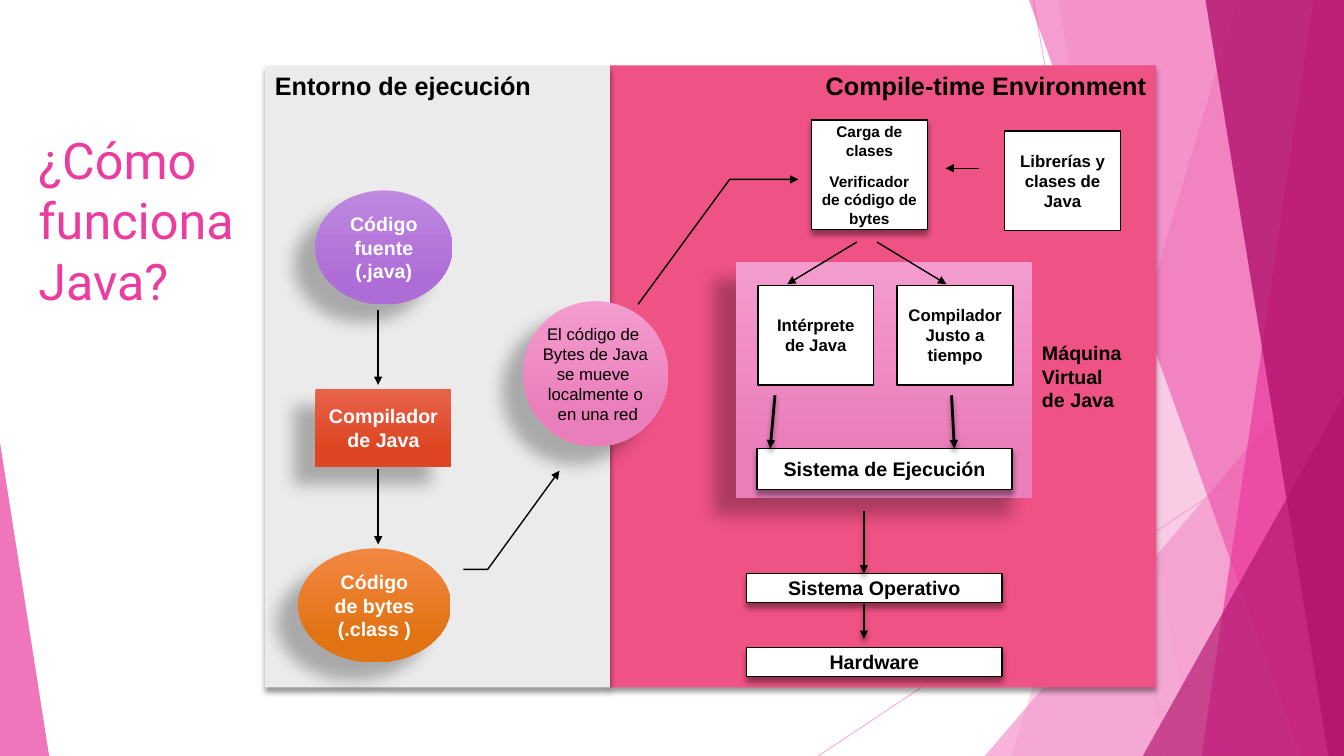
"""Build the slide that explains how Java code is compiled and run."""
from dataclasses import dataclass
from typing import Optional

from lxml import etree
from pptx import Presentation
from pptx import dml, util as u
from pptx.dml import color
from pptx.enum import shapes, text
from pptx.oxml import ns

Point = tuple[float, float]
WIDTH, HEIGHT = 33.87, 19.05
RECT, OVAL = shapes.MSO_SHAPE.RECTANGLE, shapes.MSO_SHAPE.OVAL
LEFT, CENTER, RIGHT = text.PP_ALIGN.LEFT, text.PP_ALIGN.CENTER, text.PP_ALIGN.RIGHT
TOP, MIDDLE = text.MSO_ANCHOR.TOP, text.MSO_ANCHOR.MIDDLE
BLACK, WHITE, PALE, PINK, DEEP = "000000", "FFFFFF", "F496CB", "EB3D9F", "B2136D"
PINK_GRADIENT = ("F49CCD", "EA7EBB")


@dataclass(frozen=True)
class Shadow:
    alpha: int
    blur: float
    distance: float
    angle: int


SOFT = Shadow(40, 4, 3, 90)
LONG = Shadow(28, 11.8, 19.7, 141)


@dataclass(frozen=True)
class Ribbon:
    top_x: float
    bottom_x: float
    fill: str
    alpha: int


@dataclass(frozen=True)
class Corner:
    left: float
    top: float
    width: float
    height: float
    apex: int
    fill: str
    alpha: int


@dataclass(frozen=True)
class Box:
    words: str
    left: float
    top: float
    width: float
    height: float
    fills: tuple[str, ...] = (WHITE,)
    ink: str = BLACK
    size: int = 14
    bold: bool = True
    kind: shapes.MSO_SHAPE = RECT
    outline: bool = False
    shadow: Optional[Shadow] = None
    align: text.PP_ALIGN = CENTER
    anchor: text.MSO_ANCHOR = MIDDLE
    wrap: bool = True
    space_after: int = 0


@dataclass(frozen=True)
class Arrow:
    points: tuple[Point, ...]
    weight: float = 1
    shadow: Optional[Shadow] = None


DECORATION = [
    Ribbon(31.19, 25.5, PALE, 36),
    Ribbon(26.67, 30.05, PALE, 20),
    Corner(24.82, 8.46, 9.05, 10.59, 1, PALE, 72),
    Ribbon(25.93, 32.79, PINK, 50),
    Ribbon(33.1, 30.28, PINK, 70),
    Ribbon(30.38, 33.48, DEEP, 80),
    Corner(28.8, 9.98, 5.07, 9.07, 1, DEEP, 66),
    Corner(0, 11.15, 1.24, 7.9, 0, PINK, 70),
]
HAIRLINES = [((26.04, 0), (29.41, HEIGHT)), ((WIDTH, 10.24), (20.62, HEIGHT))]

BOXES = [
    Box("Compile-time Environment", 15.37, 1.65, 13.77, 15.67, ("EF5285",), size=18,
        shadow=SOFT, align=RIGHT, anchor=TOP),
    Box("Entorno de ejecución", 6.68, 1.65, 8.69, 15.67, ("EBEBEB",), size=18,
        shadow=SOFT, align=LEFT, anchor=TOP),
    Box("El código de \nBytes de Java\nse mueve \nlocalmente o\n en una red",
        13.18, 7.59, 3.66, 3.66, PINK_GRADIENT, size=12, bold=False, kind=OVAL,
        shadow=LONG, wrap=False),
    Box("Código fuente\n(.java)", 7.95, 4.8, 3.45, 2.87, ("BF88E1", "AE6DD6"), WHITE,
        kind=OVAL, shadow=LONG),
    Box("Compilador de Java", 7.95, 9.8, 3.43, 1.96, ("E7634C", "DE4522"), WHITE, shadow=LONG),
    Box("Código de bytes\n(.class )", 7.52, 13.82, 3.84, 2.87, ("F38742", "E17313"), WHITE,
        kind=OVAL, shadow=LONG),
    Box("", 18.54, 6.6, 7.47, 5.94, PINK_GRADIENT, shadow=LONG),
    Box("Intérprete de Java", 19.1, 7.19, 2.92, 2.51, size=12, outline=True),
    Box("Compilador Justo a\ntiempo", 22.61, 7.19, 2.92, 2.51, size=12, outline=True),
    Box("Sistema de Ejecución", 19.08, 11.3, 6.43, 1.04, outline=True, shadow=SOFT, wrap=False),
    Box("Carga de clases\nVerificador de código de bytes", 20.45, 3.02, 2.92, 2.77, size=11,
        outline=True, shadow=SOFT, space_after=9),
    Box("Librerías y clases de Java", 25.32, 3.3, 2.92, 2.51, size=12, outline=True),
    Box("Sistema Operativo", 18.82, 14.45, 6.43, 0.74, outline=True, shadow=SOFT, wrap=False),
    Box("Hardware", 18.82, 16.31, 6.43, 0.74, outline=True, shadow=SOFT, wrap=False),
]
MACHINE_LABEL = Box("Máquina Virtual de Java", 26.01, 8.46, 2.59, 2.06, align=LEFT)

ARROWS = [
    Arrow(((9.53, 7.8), (9.53, 9.7))),
    Arrow(((9.53, 11.81), (9.53, 13.72))),
    Arrow(((19.53, 9.96), (19.41, 11.3)), 2, SOFT),
    Arrow(((23.98, 9.96), (24.05, 11.3)), 2, SOFT),
    Arrow(((24.66, 4.24), (23.83, 4.24))),
    Arrow(((21.59, 6.1), (19.84, 7.16))),
    Arrow(((22.1, 6.1), (23.85, 7.16))),
    Arrow(((21.77, 12.88), (21.77, 14.45)), shadow=SOFT),
    Arrow(((21.77, 15.21), (21.77, 16.1)), shadow=SOFT),
    Arrow(((11.68, 14.35), (12.29, 14.35), (14.1, 11.86))),
    Arrow(((16.08, 7.67), (18.39, 4.52), (20.12, 4.52))),
]


def rgb(value: str) -> color.RGBColor:
    return color.RGBColor.from_string(value)


def lengths(*values: float) -> list[u.Cm]:
    return [u.Cm(value) for value in values]


def add_child(parent, tag: str, **attributes: str):
    return etree.SubElement(parent, ns.qn(tag), attributes)


def set_alpha(element, percent: int) -> None:
    for tint in element.iter(ns.qn("a:srgbClr")):
        add_child(tint, "a:alpha", val=str(percent * 1000))


def set_shadow(shape, shadow: Optional[Shadow] = None) -> None:
    effects = add_child(shape._element.spPr, "a:effectLst")
    if shadow:
        outer = add_child(effects, "a:outerShdw", blurRad=str(u.Pt(shadow.blur)),
                          dist=str(u.Pt(shadow.distance)), dir=str(shadow.angle * 60000),
                          algn="ctr", rotWithShape="0")
        add_child(outer, "a:srgbClr", val=BLACK)
        set_alpha(outer, shadow.alpha)


def set_line(shape, ink: str, weight: float) -> None:
    shape.line.color.rgb = rgb(ink)
    shape.line.width = u.Pt(weight)


def format_text(frame, ink: str, size: int, font: str, bold: bool, align, anchor) -> None:
    frame.auto_size = text.MSO_AUTO_SIZE.NONE
    frame.vertical_anchor = anchor
    for paragraph in frame.paragraphs:
        paragraph.alignment = align
        for run in paragraph.runs:
            run.font.name, run.font.size, run.font.bold = font, u.Pt(size), bold
            run.font.color.rgb = rgb(ink)


def write(shape, box: Box) -> None:
    frame = shape.text_frame
    frame.text = box.words
    frame.word_wrap = box.wrap
    format_text(frame, box.ink, box.size, "Arial", box.bold, box.align, box.anchor)
    if box.space_after:
        frame.paragraphs[0].space_after = u.Pt(box.space_after)


def draw_path(slide, points: tuple[Point, ...], close: bool):
    start, *others = [lengths(*point) for point in points]
    builder = slide.shapes.build_freeform(*start)
    builder.add_line_segments(others, close=close)
    return builder.convert_to_shape()


def draw_decoration(slide, item: Ribbon | Corner) -> None:
    if isinstance(item, Ribbon):
        shape = draw_path(slide, ((item.top_x, 0), (WIDTH, 0), (WIDTH, HEIGHT),
                                  (item.bottom_x, HEIGHT)), True)
    else:
        shape = slide.shapes.add_shape(shapes.MSO_SHAPE.ISOSCELES_TRIANGLE, *lengths(
            item.left, item.top, item.width, item.height))
        shape.adjustments[0] = item.apex
    shape.fill.solid()
    shape.fill.fore_color.rgb = rgb(item.fill)
    set_alpha(shape._element.spPr, item.alpha)
    shape.line.fill.background()
    set_shadow(shape)


def draw_box(slide, box: Box) -> None:
    shape = slide.shapes.add_shape(box.kind, *lengths(box.left, box.top, box.width, box.height))
    if len(box.fills) == 1:
        shape.fill.solid()
        shape.fill.fore_color.rgb = rgb(box.fills[0])
    else:
        shape.fill.gradient()
        shape.fill.gradient_angle = 270
        for stop, tint, position in zip(shape.fill.gradient_stops, box.fills, (0, 0.78)):
            stop.color.rgb, stop.position = rgb(tint), position
    if box.outline:
        set_line(shape, BLACK, 1)
    else:
        shape.line.fill.background()
    set_shadow(shape, box.shadow)
    write(shape, box)


def draw_straight(slide, start: Point, end: Point):
    return slide.shapes.add_connector(shapes.MSO_CONNECTOR.STRAIGHT, *lengths(*start, *end))


def draw_arrow(slide, arrow: Arrow) -> None:
    if len(arrow.points) == 2:
        shape = draw_straight(slide, *arrow.points)
    else:
        shape = draw_path(slide, arrow.points, False)
        shape.fill.background()
    set_line(shape, BLACK, arrow.weight)
    add_child(shape._element.spPr.find(ns.qn("a:ln")), "a:tailEnd", type="triangle")
    set_shadow(shape, arrow.shadow)


def main() -> None:
    presentation = Presentation()
    presentation.slide_width, presentation.slide_height = lengths(WIDTH, HEIGHT)
    slide = presentation.slides.add_slide(presentation.slide_layouts[5])
    for start, end in HAIRLINES:
        hairline = draw_straight(slide, start, end)
        set_line(hairline, PALE, 0.75)
        set_alpha(hairline._element.spPr, 70)
        set_shadow(hairline)
    for item in DECORATION:
        draw_decoration(slide, item)
    title = slide.shapes.title
    title.left, title.top, title.width, title.height = lengths(0.71, 3.12, 5.64, 12.78)
    title.text_frame.text = "¿Cómo funciona Java?"
    format_text(title.text_frame, PINK, 36, "Roboto", False, LEFT, TOP)
    for box in BOXES:
        draw_box(slide, box)
    label = MACHINE_LABEL
    write(slide.shapes.add_textbox(*lengths(label.left, label.top, label.width, label.height)), label)
    for arrow in ARROWS:
        draw_arrow(slide, arrow)
    presentation.save("out.pptx")


if __name__ == "__main__":
    main()
